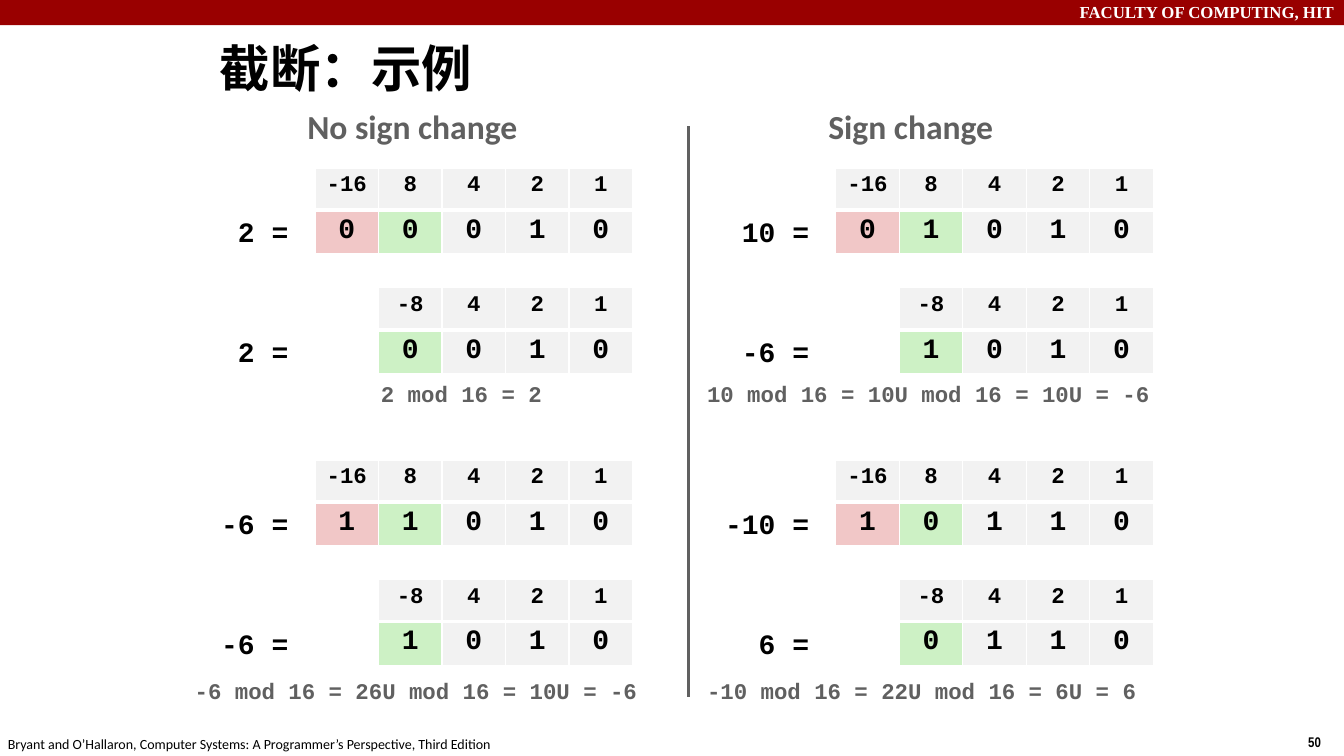
"""Build the slide on truncating signed integers from five bits to four."""
from dataclasses import dataclass

from pptx import Presentation
from pptx.dml.color import RGBColor as RGB
from pptx.enum.shapes import MSO_CONNECTOR as CONN, MSO_SHAPE as SHAPE
from pptx.enum.text import MSO_ANCHOR as ANCHOR, PP_ALIGN as ALIGN
from pptx.oxml.ns import qn
from pptx.util import Pt
from lxml.etree import SubElement


@dataclass(frozen=True)
class Theme:
    """Colours, fonts and type sizes of the slide."""
    white: str = "FFFFFF"
    black: str = "000000"
    grey: str = "606060"
    banner: str = "990000"
    cell: str = "F2F2F2"
    dropped: str = "F1C7C7"
    sign: str = "CDF1C5"
    sans: str = "Calibri"
    mono: str = "Courier New"
    serif: str = "Times New Roman"
    narrow: str = "Arial Narrow"
    title: int = 36
    heading: int = 24
    bit: int = 20
    weight: int = 16
    banner_text: int = 12
    footer: int = 10


T = Theme()
BITS = 5
COL_W, ROW_H = 45.36, 30
NARROW_DY = 85.5
LABEL_W, LABEL_GAP = 90, 19


def style(p, size, font, color=T.black, bold=True, align=ALIGN.LEFT):
    """Set the type and alignment of a paragraph."""
    p.alignment = align
    f = p.font
    f.size, f.name, f.bold = Pt(size), font, bold
    f.color.rgb = RGB.from_string(color)


def add_text(s, text, box, size, font, wrap=False, anchor=ANCHOR.TOP, **look):
    """Add a one-paragraph text box and return its text frame."""
    tf = s.shapes.add_textbox(*map(Pt, box)).text_frame
    tf.word_wrap, tf.vertical_anchor = wrap, anchor
    p = tf.paragraphs[0]
    p.text = text
    style(p, size, font, **look)
    return tf


def add_banner(s, width):
    """Add the coloured band along the top edge."""
    sp = s.shapes.add_shape(SHAPE.RECTANGLE, 0, 0, width, Pt(18))
    sp.shadow.inherit = False
    sp.fill.solid()
    sp.fill.fore_color.rgb = RGB.from_string(T.banner)
    sp.line.fill.background()


def add_divider(s, x, top, bottom):
    """Add the vertical line between the two columns."""
    line = s.shapes.add_connector(CONN.STRAIGHT, Pt(x), Pt(top), Pt(x), Pt(bottom))
    line.line.width = Pt(2)
    line.line.color.rgb = RGB.from_string(T.grey)
    SubElement(line._element.spPr, qn("a:effectLst"))


def set_borders(cell, **widths):
    """Draw white cell borders of the given widths in points."""
    tc_pr = cell._tc.get_or_add_tcPr()
    for i, (side, width) in enumerate(widths.items()):
        ln = tc_pr.makeelement(qn(f"a:ln{side}"), {"w": str(Pt(width))})
        fill = SubElement(ln, qn("a:solidFill"))
        SubElement(fill, qn("a:srgbClr"), val=T.white)
        tc_pr.insert(i, ln)


def cell_fill(row, col, width):
    """Choose the fill of a cell in a table that shows width bits."""
    if col < BITS - width:
        return T.white
    if row == 0 or col > 1:
        return T.cell
    return T.sign if col == 1 else T.dropped


def add_bits(s, value, width, left, top):
    """Add a label and a table of place weights over two's complement bits."""
    tf = add_text(s, f"{value} =", (left - LABEL_W, top + ROW_H, LABEL_W, 31.7),
                  T.bit, T.mono, wrap=True, align=ALIGN.RIGHT)
    tf.margin_right = Pt(LABEL_GAP)

    weights = [-2 ** (width - 1)] + [2 ** i for i in reversed(range(width - 1))]
    bits = format(value % 2 ** width, f"0{width}b")
    blanks = [""] * (BITS - width)
    table = s.shapes.add_table(2, BITS, Pt(left), Pt(top), Pt(COL_W * BITS),
                               Pt(ROW_H * 2)).table
    table.first_row = table.horz_banding = False
    for column in table.columns:
        column.width = Pt(COL_W)
    for r, texts in enumerate((blanks + weights, blanks + list(bits))):
        table.rows[r].height = Pt(ROW_H)
        for c, text in enumerate(texts):
            cell = table.cell(r, c)
            cell.fill.solid()
            cell.fill.fore_color.rgb = RGB.from_string(cell_fill(r, c, width))
            set_borders(cell, L=1, R=1, T=3 if r else 1, B=1 if r else 3)
            p = cell.text_frame.paragraphs[0]
            p.text = str(text)
            style(p, T.bit if r else T.weight, T.mono, align=ALIGN.CENTER)


def add_example(s, value, left, top, formula, box):
    """Add a number, its truncation to one bit less, and the modulus formula."""
    width = BITS - 1
    half = 2 ** (width - 1)
    truncated = (value + half) % 2 ** width - half
    add_bits(s, value, BITS, left, top)
    add_bits(s, truncated, width, left, top + NARROW_DY)
    add_text(s, formula, box, T.weight, T.mono, color=T.grey)


def add_frame(s, width):
    """Add the banner, the footer and the slide number."""
    add_banner(s, width)
    add_text(s, "FACULTY OF COMPUTING, HIT", (0, -2, 960, 21.6), T.banner_text,
             T.serif, wrap=True, color=T.white, align=ALIGN.RIGHT)
    add_text(s, "50", (927.4, 520.6, 24.5, 19.4), T.footer, T.narrow)
    add_text(s, "Bryant and O’Hallaron, Computer Systems: A Programmer’s "
             "Perspective, Third Edition", (-1.5, 522, 365.8, 19.4),
             T.footer, T.sans, bold=False)


def main():
    """Build and save the slide."""
    prs = Presentation()
    prs.slide_width, prs.slide_height = Pt(960), Pt(540)
    s = prs.slides.add_slide(prs.slide_layouts[6])
    add_frame(s, prs.slide_width)
    add_text(s, "截断：示例", (150, 25.2, 690, 45.4), T.title, T.sans,
             wrap=True, anchor=ANCHOR.MIDDLE)
    add_divider(s, 492, 90, 498)
    for text, left, width in (("No sign change", 212.4, 166.3),
                              ("Sign change", 584.6, 133.2)):
        add_text(s, text, (left, 72, width, 36), T.heading, T.sans, color=T.grey)
    for value, left, top, formula, box in (
            (2, 225, 120, "2 mod 16 = 2", (265, 268, 131, 26.6)),
            (-6, 225, 328.5, "-6 mod 16 = 26U mod 16 = 10U = -6",
             (132, 480, 335.5, 26.6)),
            (10, 597, 120, "10 mod 16 = 10U mod 16 = 10U = -6",
             (498, 268, 335.5, 26.6)),
            (-10, 597, 328.5, "-10 mod 16 = 22U mod 16 = 6U = 6",
             (498, 480, 325.5, 26.6))):
        add_example(s, value, left, top, formula, box)
    prs.save("out.pptx")


if __name__ == "__main__":
    main()
